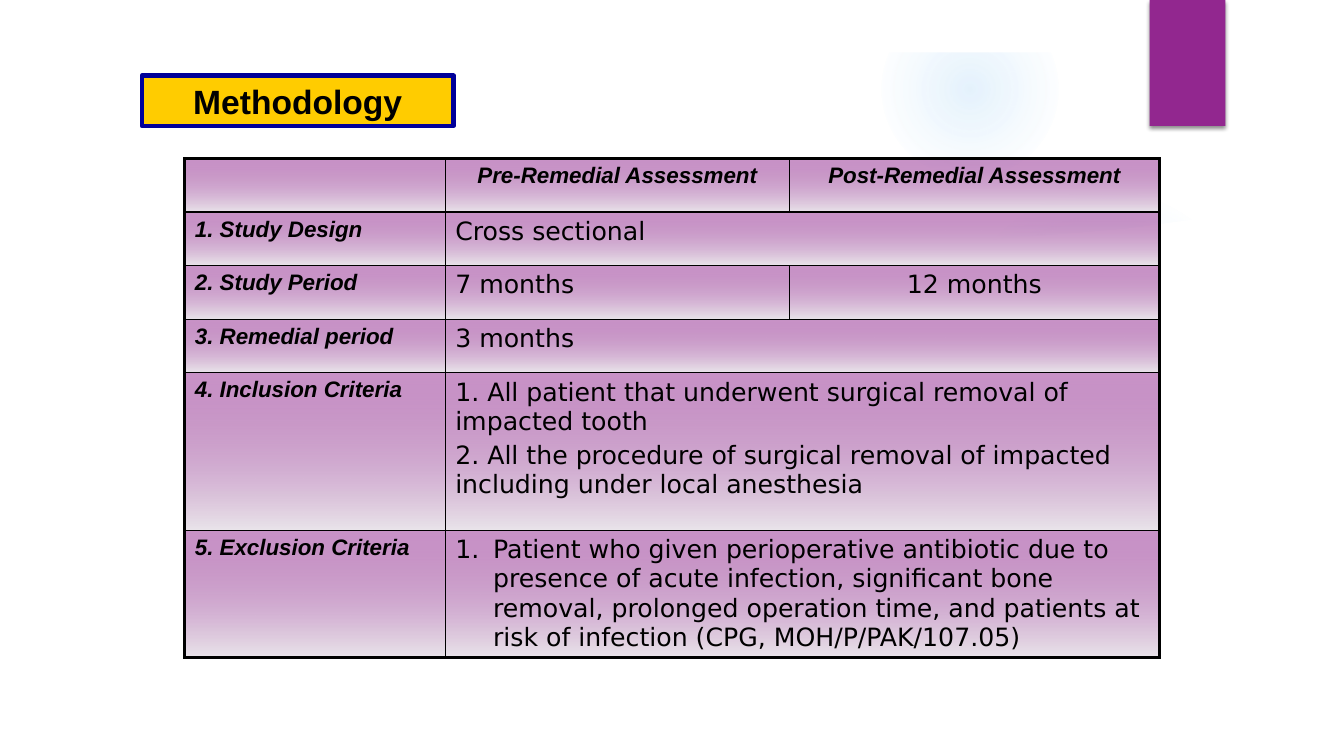
from pptx import Presentation
from pptx.dml.color import RGBColor
from pptx.enum.shapes import MSO_SHAPE
from pptx.enum.text import MSO_ANCHOR, MSO_AUTO_SIZE, PP_ALIGN
from pptx.oxml import parse_xml
from pptx.oxml.ns import nsdecls
from pptx.util import Pt

PX = 9525
RECT, OVAL = MSO_SHAPE.RECTANGLE, MSO_SHAPE.OVAL
LEFT, CENTER = PP_ALIGN.LEFT, PP_ALIGN.CENTER
MIDDLE, FIXED = MSO_ANCHOR.MIDDLE, MSO_AUTO_SIZE.NONE

BLACK = RGBColor(0x00, 0x00, 0x00)
WHITE = RGBColor(0xFF, 0xFF, 0xFF)
GOLD = RGBColor(0xFF, 0xCC, 0x00)
NAVY = RGBColor(0x00, 0x00, 0x99)
PLUM = RGBColor(0x92, 0x27, 0x8F)
MIST = RGBColor(0xEA, 0xE5, 0xEB)
SKY = RGBColor(0x45, 0xA5, 0xED)

COLS = [248, 328, 352]
TALL = [51, 51, 51, 51, 150, 120]
ROWS = [
    ["", "Pre-Remedial Assessment", "Post-Remedial Assessment"],
    ["1. Study Design", "Cross sectional"],
    ["2. Study Period", "7 months", "12 months"],
    ["3. Remedial period", "3 months"],
    ["4. Inclusion Criteria",
     "1. All patient that underwent surgical removal of impacted tooth\n"
     "2. All the procedure of surgical removal of impacted including "
     "under local anesthesia"],
    ["5. Exclusion Criteria",
     "Patient who given perioperative antibiotic due to presence of acute "
     "infection, significant bone removal, prolonged operation time, and "
     "patients at risk of infection (CPG, MOH/P/PAK/107.05)"],
]


def scale(*box):
    """Turn px lengths into EMU."""
    return [n * PX for n in box]


def blend(stops, shade):
    """Return a gradient fill from (place, colour, opacity) stops in percent."""
    marks = "".join(
        f'<a:gs pos="{at * 1000}"><a:srgbClr val="{tint}">'
        f'<a:alpha val="{alpha * 1000}"/></a:srgbClr></a:gs>'
        for at, tint, alpha in stops)
    return parse_xml(f'<a:gradFill {nsdecls("a")} rotWithShape="1">'
                     f'<a:gsLst>{marks}</a:gsLst>{shade}</a:gradFill>')


def plain(shape, tint):
    """Give a shape a flat fill with no line or shadow."""
    shape.fill.solid()
    shape.fill.fore_color.rgb = tint
    shape.line.fill.background()
    shape.shadow.inherit = False


def glow(slide, box, mid, end, alphas):
    """Draw a soft round light that fades outward."""
    disc = slide.shapes.add_shape(OVAL, *scale(*box))
    stops = [(0, SKY, alphas[0]), (36, SKY, alphas[1]), (end, SKY, 0)]
    disc._element.spPr.append(blend(stops, mid))
    disc.line.fill.background()
    disc.shadow.inherit = False


def back(slide, wide):
    """Draw the lights, the white frame and the plum tab."""
    mid = ('<a:path path="circle"><a:fillToRect l="50000" t="50000" '
           'r="50000" b="50000"/></a:path>')
    glow(slide, (903, 176, 296, 296), mid, 69, (7, 6))
    glow(slide, (840, 1, 168, 168), mid, 73, (14, 7))
    pen = slide.shapes.build_freeform(48, 196, scale=PX)
    pen.add_line_segments([(239, 218), (426, 231), (680, 238), (911, 231),
                           (1071, 218), (1232, 196), (1232, 672), (48, 672)])
    plain(pen.convert_to_shape(), WHITE)
    plain(slide.shapes.add_shape(RECT, *scale(0, 0, wide, 50)), WHITE)
    tab = slide.shapes.add_shape(RECT, *scale(1095, 0, 72, 120))
    plain(tab, PLUM)
    tab._element.spPr.effectLst.append(parse_xml(
        f'<a:outerShdw {nsdecls("a")} blurRad="{Pt(3)}" dist="{Pt(2)}" '
        f'dir="5400000" rotWithShape="0"><a:srgbClr val="{BLACK}">'
        '<a:alpha val="45000"/></a:srgbClr></a:outerShdw>'))


def style(part, size, face, bold, slant):
    """Format the runs of a paragraph."""
    for run in part.runs:
        font = run.font
        font.size, font.name = Pt(size), face
        font.bold, font.italic = bold, slant
        font.color.rgb = BLACK


def head(slide, box):
    """Place the slide title in its gold box."""
    title = slide.shapes.title
    title.left, title.top, title.width, title.height = scale(*box)
    title.fill.solid()
    title.fill.fore_color.rgb = GOLD
    title.line.color.rgb = NAVY
    title.line.width = Pt(3)
    frame = title.text_frame
    frame.text = "Methodology"
    frame.auto_size, frame.vertical_anchor = FIXED, MIDDLE
    part = frame.paragraphs[0]
    part.alignment = CENTER
    style(part, 24, "Arial", True, False)


def paint(cell, edges):
    """Give a cell its borders and gradient; edges holds the thick sides."""
    props = cell._tc.get_or_add_tcPr()
    for side in "LRTB":
        width = Pt(2.25 if side in edges else 1)
        props.append(parse_xml(
            f'<a:ln{side} {nsdecls("a")} w="{width}"><a:solidFill>'
            f'<a:srgbClr val="{BLACK}"/></a:solidFill></a:ln{side}>'))
    props.append(blend([(0, PLUM, 50), (100, MIST, 100)],
                       '<a:lin ang="5400000" scaled="1"/>'))


def write(cell, text, label, align):
    """Fill a cell with label or body text."""
    cell.text_frame.text = text
    for i, part in enumerate(cell.text_frame.paragraphs):
        part.alignment = align
        if i:
            part.space_before = Pt(3.6)
        if label:
            style(part, 16, "Arial", True, True)
        else:
            style(part, 18, "DejaVu Sans", False, False)


def number(part, dent):
    """Number a paragraph with a hanging indent in px."""
    props = part._p.get_or_add_pPr()
    props.set("marL", str(dent * PX))
    props.set("indent", str(-dent * PX))
    props.append(parse_xml(
        f'<a:buAutoNum {nsdecls("a")} type="arabicPeriod"/>'))


def grid(slide, left, top):
    """Build the table of study methods."""
    box = scale(left, top, sum(COLS), sum(TALL))
    table = slide.shapes.add_table(len(ROWS), len(COLS), *box).table
    table.first_row = table.horz_banding = False
    for col, wide in zip(table.columns, COLS):
        col.width = wide * PX
    for row, high in zip(table.rows, TALL):
        row.height = high * PX
    last = len(ROWS) - 1
    for r, texts in enumerate(ROWS):
        if len(texts) < len(COLS):
            table.cell(r, 1).merge(table.cell(r, 2))
        for c in range(len(COLS)):
            tests = {"L": c == 0, "R": c >= len(texts) - 1,
                     "T": r == 0, "B": r == last}
            paint(table.cell(r, c), [s for s in tests if tests[s]])
        for c, text in enumerate(texts):
            align = CENTER if r == 0 or c == 2 else LEFT
            write(table.cell(r, c), text, r == 0 or c == 0, align)
    number(table.cell(last, 1).text_frame.paragraphs[0], 36)


def main():
    """Build the slide and save it."""
    deck = Presentation()
    deck.slide_width, deck.slide_height = scale(1280, 720)
    slide = deck.slides.add_slide(deck.slide_layouts[5])
    back(slide, 1280)
    grid(slide, 176, 151)
    head(slide, (135, 72, 297, 48))
    deck.save("out.pptx")


if __name__ == "__main__":
    main()
